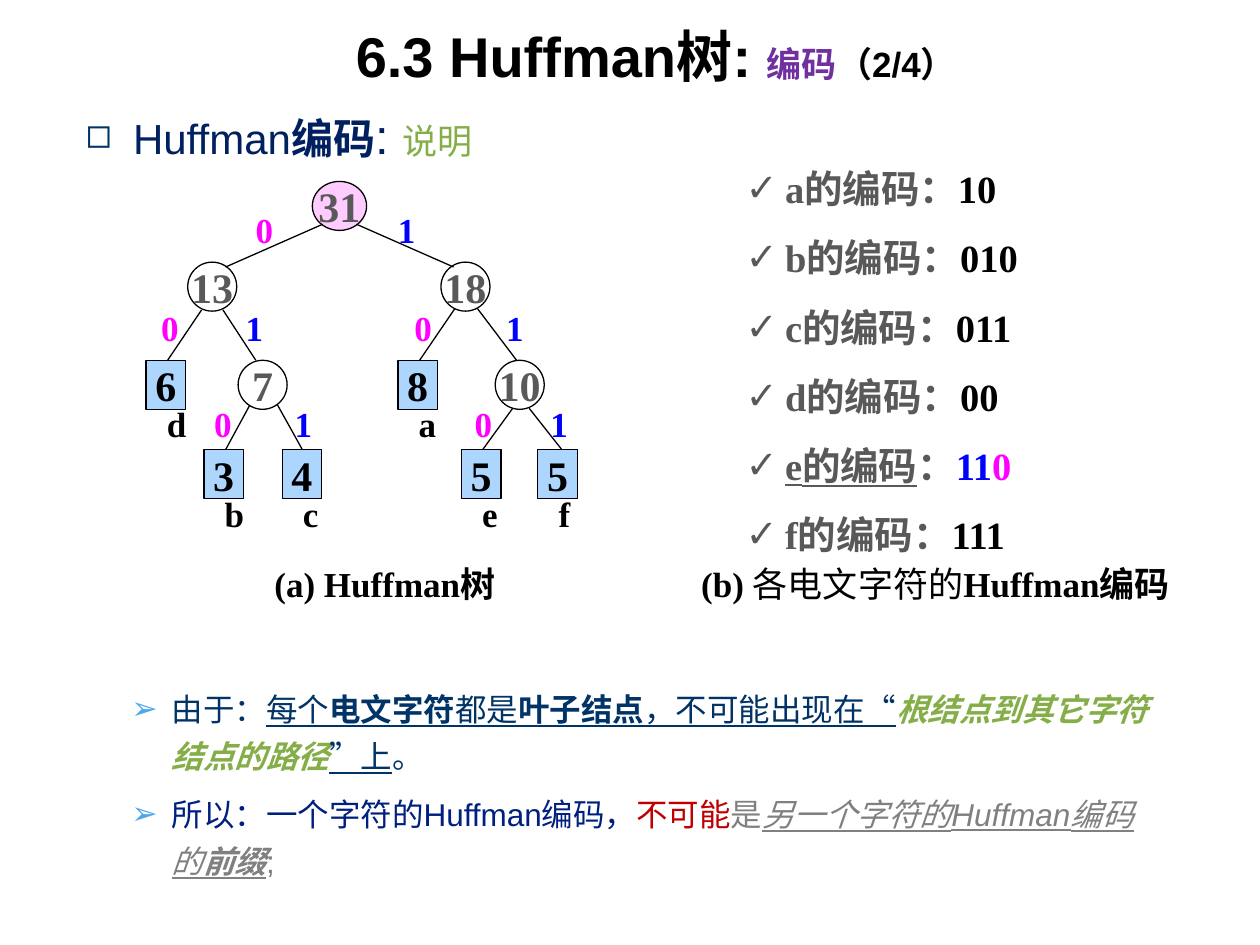
from lxml import etree
from pptx import Presentation
from pptx.dml.color import RGBColor
from pptx.enum.shapes import MSO_CONNECTOR, MSO_SHAPE
from pptx.enum.text import MSO_ANCHOR, MSO_AUTO_SIZE, PP_ALIGN
from pptx.oxml.ns import qn
from pptx.util import Pt

STRAIGHT = MSO_CONNECTOR.STRAIGHT
OVAL = MSO_SHAPE.OVAL
RECTANGLE = MSO_SHAPE.RECTANGLE
MIDDLE = MSO_ANCHOR.MIDDLE
TOP = MSO_ANCHOR.TOP
NO_FIT = MSO_AUTO_SIZE.NONE
CENTER = PP_ALIGN.CENTER
LEFT = PP_ALIGN.LEFT

BLACK = RGBColor(0x00, 0x00, 0x00)
PURPLE = RGBColor(0x70, 0x30, 0xA0)
DARK_BLUE = RGBColor(0x00, 0x20, 0x60)
NAVY = RGBColor(0x00, 0x33, 0x66)
ROYAL = RGBColor(0x00, 0x20, 0x80)
SKY = RGBColor(0x4E, 0xA7, 0xEA)
GREEN = RGBColor(0x85, 0xAE, 0x49)
RED = RGBColor(0xC0, 0x00, 0x00)
GRAY = RGBColor(0x80, 0x80, 0x80)
DARK_GRAY = RGBColor(0x59, 0x59, 0x59)
BLUE = RGBColor(0x00, 0x00, 0xFF)
MAGENTA = RGBColor(0xFF, 0x00, 0xFF)
PINK = RGBColor(0xFF, 0xCC, 0xFF)
LIGHT_BLUE = RGBColor(0xAD, 0xD6, 0xFF)

SANS = "Arial"
SERIF = "Times New Roman"

NODE_SIZE = 28
LEAF_WIDTH = 22.5
LEVEL_TOPS = [103.7, 149.8, 205.9, 257]
BIT_TOPS = [115.9, 172.1, 226.8]
INNER_NODES = [("13", 121.3, 1), ("18", 266, 1), ("7", 150.1, 2), ("10", 297, 2)]
LEAVES = [("6", "d", 94.8, 2), ("8", "a", 238.7, 2), ("3", "b", 127.8, 3),
          ("4", "c", 172.5, 3), ("5", "e", 275, 3), ("5", "f", 318.6, 3)]
EDGES = [(184.3, 128.2, 128.9, 152.6), (203.8, 128.2, 259.2, 152.6),
         (115.2, 177.1, 95.8, 205.9), (127.4, 177.1, 146.2, 205.9),
         (259.9, 176.4, 239.8, 205.9), (272.9, 176.4, 295.2, 205.9),
         (142.6, 231.8, 128.9, 257), (158.4, 231.1, 172.8, 257),
         (293, 233.3, 275.8, 257), (302.4, 233.3, 321.1, 257)]
BITS = [("0", 139, 0), ("1", 220.3, 0),
        ("0", 85, 1), ("1", 133.2, 1), ("0", 229.7, 1), ("1", 282.2, 1),
        ("0", 115.2, 2), ("1", 161.3, 2), ("0", 264.2, 2), ("1", 307.4, 2)]
CODES = [("a", "10"), ("b", "010"), ("c", "011"), ("d", "00"), ("e", "110"), ("f", "111")]

HEADING = [("Huffman", 24, DARK_BLUE), ("编码", 24, DARK_BLUE, SANS, "b"),
           (": ", 28, DARK_BLUE), ("说明", 20, GREEN)]
REASON = [("由于：", 18, NAVY), ("每个", 18, NAVY, SANS, "u"),
          ("电文字符", 18, NAVY, SANS, "bu"), ("都是", 18, NAVY, SANS, "u"),
          ("叶子结点", 18, NAVY, SANS, "bu"), ("，不可能出现在“", 18, NAVY, SANS, "u"),
          ("根结点到其它字符结点的路径", 18, GREEN, SANS, "bi"),
          ("”上", 18, NAVY, SANS, "u"), ("。", 18, NAVY)]
CONCLUSION = [("所以：一个字符的Huffman编码，", 18, ROYAL), ("不可能", 18, RED),
              ("是", 18, GRAY), ("另一个字符的Huffman编码的", 18, GRAY, SANS, "iu"),
              ("前缀", 18, GRAY, SANS, "biu"), (";", 18, GRAY)]


def add_run(paragraph, text, size, color, font=SANS, style=""):
    run = paragraph.add_run()
    run.text = text
    run.font.name = font
    run.font.size = Pt(size)
    run.font.color.rgb = color
    run.font.bold = "b" in style
    run.font.italic = "i" in style
    run.font.underline = "u" in style


def set_bullet(paragraph, character, color, margin, indent):
    properties = paragraph._p.get_or_add_pPr()
    properties.set("marL", str(Pt(margin)))
    properties.set("indent", str(Pt(-indent)))
    bullet_color = etree.SubElement(properties, qn("a:buClr"))
    etree.SubElement(bullet_color, qn("a:srgbClr"), val=str(color))
    etree.SubElement(properties, qn("a:buFont"), typeface=SANS)
    etree.SubElement(properties, qn("a:buChar"), char=character)


def fill_paragraph(paragraph, runs, alignment=LEFT, line_spacing=1.0, space_before=0):
    paragraph.alignment = alignment
    paragraph.line_spacing = line_spacing
    paragraph.space_before = Pt(space_before)
    for run in runs:
        add_run(paragraph, *run)


def next_paragraph(frame):
    first = frame.paragraphs[0]
    return frame.add_paragraph() if first.runs else first


def prepare_frame(shape, anchor=MIDDLE, wrap=True):
    frame = shape.text_frame
    frame.word_wrap = wrap
    frame.auto_size = NO_FIT
    frame.vertical_anchor = anchor
    return frame


def place(shape, left, top, width, height):
    shape.left, shape.top = Pt(left), Pt(top)
    shape.width, shape.height = Pt(width), Pt(height)


def add_title(slide):
    title = slide.shapes.title
    place(title, 77.8, 12.2, 594, 38.2)
    runs = [("6.3 Huffman树: ", 32, BLACK, SANS, "b"), ("编码", 20, PURPLE, SANS, "b"),
            ("（2/4）", 20, BLACK, SANS, "b")]
    fill_paragraph(prepare_frame(title).paragraphs[0], runs, CENTER)


def add_body(slide):
    body = slide.placeholders[1]
    place(body, 41.8, 48.2, 630, 462.2)
    frame = prepare_frame(body, TOP)
    items = [(HEADING, 0, 6, "◻", NAVY, 27, 27),
             (REASON, 1, 295, "➢", SKY, 49, 23),
             (CONCLUSION, 1, 6, "➢", SKY, 49, 23)]
    for runs, level, space_before, character, color, margin, indent in items:
        paragraph = next_paragraph(frame)
        paragraph.level = level
        fill_paragraph(paragraph, runs, LEFT, 1.25, space_before)
        set_bullet(paragraph, character, color, margin, indent)


def add_code_list(slide):
    box = slide.shapes.add_textbox(Pt(419), Pt(88.6), Pt(231), Pt(222.5))
    frame = prepare_frame(box)
    for letter, code in CODES:
        if letter == "e":
            runs = [("e的编码", 22, DARK_GRAY, SERIF, "bu"), ("：", 22, DARK_GRAY, SERIF, "b"),
                    ("11", 22, BLUE, SERIF, "b"), ("0", 22, MAGENTA, SERIF, "b")]
        else:
            runs = [(letter + "的编码：", 22, DARK_GRAY, SERIF, "b"),
                    (code, 22, BLACK, SERIF, "b")]
        paragraph = next_paragraph(frame)
        fill_paragraph(paragraph, runs, LEFT, 1.5)
        set_bullet(paragraph, "✓", DARK_GRAY, 22.5, 22.5)


def add_label(shapes, left, top, width, runs):
    box = shapes.add_textbox(Pt(left), Pt(top), Pt(width), Pt(30.2))
    fill_paragraph(prepare_frame(box).paragraphs[0], runs, CENTER)


def add_node(shapes, kind, text, center, level, width, color, fill=None):
    node = shapes.add_shape(kind, Pt(center - width / 2), Pt(LEVEL_TOPS[level]),
                            Pt(width), Pt(NODE_SIZE))
    node.shadow.inherit = False
    if fill is None:
        node.fill.background()
    else:
        node.fill.solid()
        node.fill.fore_color.rgb = fill
    node.line.color.rgb = BLACK
    node.line.width = Pt(0.75)
    frame = prepare_frame(node, wrap=False)
    fill_paragraph(frame.paragraphs[0], [(text, 24, color, SERIF, "b")], CENTER)


def add_edge(shapes, start_x, start_y, end_x, end_y):
    edge = shapes.add_connector(STRAIGHT, Pt(start_x), Pt(start_y), Pt(end_x), Pt(end_y))
    edge.line.color.rgb = BLACK
    edge.line.width = Pt(0.75)
    etree.SubElement(edge._element.spPr, qn("a:effectLst"))


def add_tree(slide):
    shapes = slide.shapes.add_group_shape().shapes
    add_node(shapes, OVAL, "31", 194, 0, 31, DARK_GRAY, PINK)
    for text, center, level in INNER_NODES:
        add_node(shapes, OVAL, text, center, level, NODE_SIZE, DARK_GRAY)
    for edge in EDGES:
        add_edge(shapes, *edge)
    for weight, letter, center, level in LEAVES:
        add_node(shapes, RECTANGLE, weight, center, level, LEAF_WIDTH, BLACK, LIGHT_BLUE)
        add_label(shapes, center - 6.5, LEVEL_TOPS[level] + 21.2, 14.4,
                  [(letter, 20, BLACK, SERIF, "b")])


def add_bits(slide):
    for bit, left, level in BITS:
        color = BLUE if bit == "1" else MAGENTA
        add_label(slide.shapes, left, BIT_TOPS[level], 23, [(bit, 20, color, SERIF, "b")])


def main():
    presentation = Presentation()
    presentation.slide_width, presentation.slide_height = Pt(720), Pt(540)
    slide = presentation.slides.add_slide(presentation.slide_layouts[1])
    add_title(slide)
    add_body(slide)
    add_code_list(slide)
    add_tree(slide)
    add_bits(slide)
    add_label(slide.shapes, 103.7, 318.2, 232.6, [("(a) Huffman树", 20, BLACK, SERIF, "b")])
    add_label(slide.shapes, 385.2, 318.2, 298.8,
              [("(b) ", 20, BLACK, SERIF, "b"), ("各电文字符的", 20, BLACK),
               ("Huffman编码", 20, BLACK, SERIF, "b")])
    presentation.save("out.pptx")


if __name__ == "__main__":
    main()
